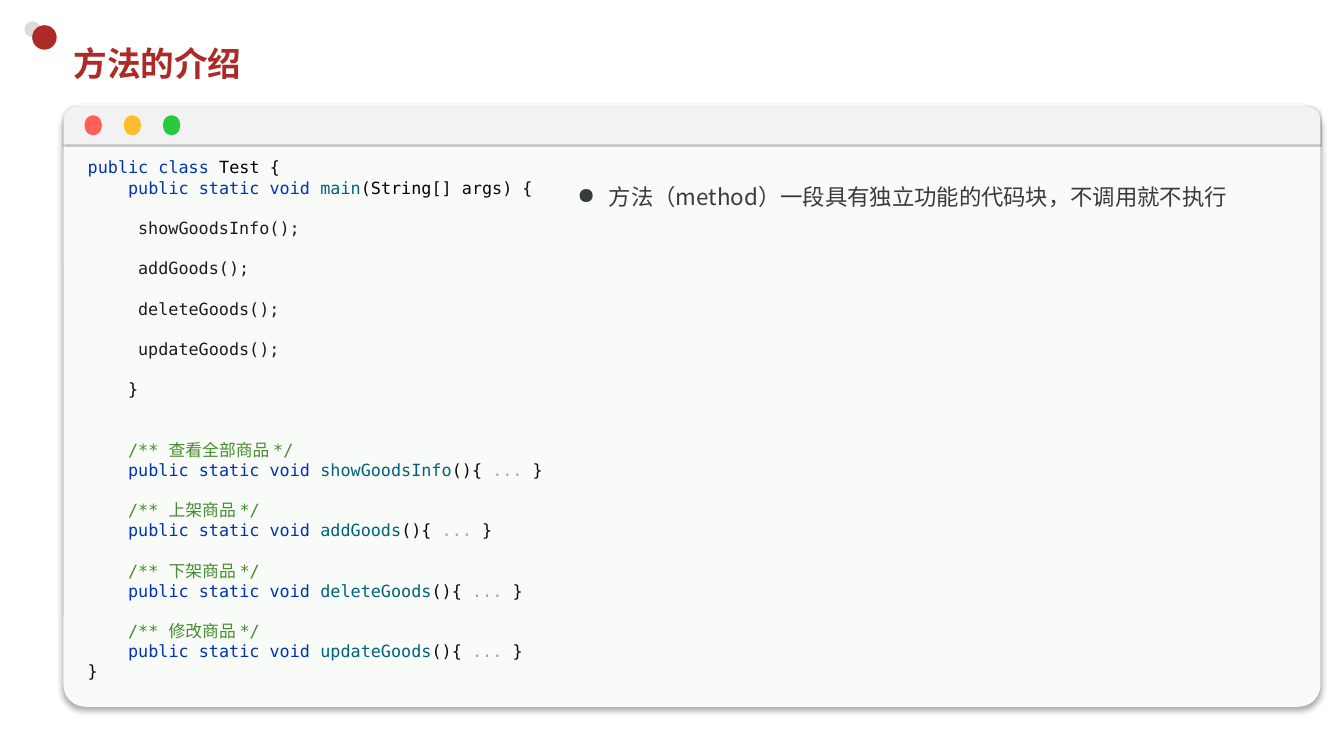
"""Build the slide that introduces methods with a code window."""
from lxml import etree
from pptx import Presentation
from pptx.dml.color import RGBColor
from pptx.enum.shapes import MSO_SHAPE
from pptx.enum.text import MSO_ANCHOR
from pptx.oxml.ns import qn
from pptx.util import Pt

OVAL = MSO_SHAPE.OVAL
CARD = MSO_SHAPE.ROUNDED_RECTANGLE
BAR = MSO_SHAPE.ROUND_2_SAME_RECTANGLE
MIDDLE, TOP = MSO_ANCHOR.MIDDLE, MSO_ANCHOR.TOP

RED = RGBColor(0xAD, 0x2B, 0x26)
SILVER = RGBColor(0xDA, 0xDD, 0xDC)
PAPER = RGBColor(0xF9, 0xFB, 0xF9)
PALE = RGBColor(0xF2, 0xF2, 0xF2)
CORAL = RGBColor(0xFF, 0x5F, 0x56)
AMBER = RGBColor(0xFF, 0xBD, 0x2E)
GREEN = RGBColor(0x27, 0xC9, 0x3F)
BLUE = RGBColor(0x00, 0x33, 0xB3)
TEAL = RGBColor(0x00, 0x62, 0x7A)
BLACK = RGBColor(0x00, 0x00, 0x00)
INK = RGBColor(0x08, 0x08, 0x08)
DARK = RGBColor(0x1B, 0x1E, 0x1D)
MOSS = RGBColor(0x45, 0x8C, 0x2F)
GRAY = RGBColor(0xA6, 0xA6, 0xA6)
SLATE = RGBColor(0x36, 0x3C, 0x3B)

MONO, HAN, BODY = "DejaVu Sans Mono", "Noto Sans CJK SC", "Noto Sans CJK JP"

TITLE = "方法的介绍"
NOTE = "方法（method）一段具有独立功能的代码块，不调用就不执行"
METHODS = [
    ("showGoodsInfo", "查看全部商品 "),
    ("addGoods", "上架商品 "),
    ("deleteGoods", "下架商品 "),
    ("updateGoods", "修改商品 "),
]
HEAD = [
    (0, [("public class ", BLUE), ("Test ", BLACK), ("{", INK)]),
    (0, [("    public static void ", BLUE), ("main", TEAL), ("(", INK),
         ("String", BLACK), ("[] args) {", INK)]),
]
DOTS = [(17.5, 15.2, 11.5, SILVER), (23, 18, 17.5, RED)]
LIGHTS = [CORAL, AMBER, GREEN]
LEFT, WIDE, LINE = 45.4, 897.8, 14.4


def code_lines():
    """Return (blank lines before, coloured parts) for each line of code."""
    lines = list(HEAD)
    for name, _ in METHODS:
        lines.append((1, [("\t" + name + "();", DARK)]))
    lines.append((1, [("    }", INK)]))
    for row, (name, note) in enumerate(METHODS):
        lines.append((1 if row else 2, [
            ("    /** ", MOSS), (note, MOSS, HAN), ("*/", MOSS)]))
        lines.append((0, [
            ("    public static void ", BLUE), (name, TEAL), ("(){ ", INK),
            ("... ", GRAY), ("}", INK)]))
    return lines + [(0, [("}", INK)])]


def draw(slide, kind, box, fill, adjust=(), shade=None):
    """Add a filled shape with an optional soft shadow."""
    shape = slide.shapes.add_shape(kind, *map(Pt, box))
    shape.fill.solid()
    shape.fill.fore_color.rgb = fill
    shape.line.fill.background()
    shape.shadow.inherit = False
    for spot, value in enumerate(adjust):
        shape.adjustments[spot] = value
    if shade:
        alpha, blur, dist = shade
        glow = etree.SubElement(
            shape._element.spPr.find(qn("a:effectLst")), qn("a:outerShdw"),
            blurRad=str(Pt(blur)), dist=str(Pt(dist)), dir="5400000",
            algn="t", rotWithShape="0")
        tint = etree.SubElement(glow, qn("a:srgbClr"), val="000000")
        etree.SubElement(tint, qn("a:alpha"), val=str(alpha * 1000))


def text_frame(slide, box, anchor=TOP, side=7.2):
    """Add a wrapping text box and return its frame."""
    frame = slide.shapes.add_textbox(*map(Pt, box)).text_frame
    form = {"word_wrap": True, "vertical_anchor": anchor,
            "margin_left": Pt(side), "margin_right": Pt(side)}
    for key, value in form.items():
        setattr(frame, key, value)
    return frame


def write(para, text, size, color, face, east=HAN, bold=False):
    """Add one run with Latin and East Asian fonts."""
    run = para.add_run()
    run.text = text
    for key, value in {"size": Pt(size), "name": face, "bold": bold}.items():
        setattr(run.font, key, value)
    run.font.color.rgb = color
    etree.SubElement(run.font._element, qn("a:ea"), typeface=east)


def main():
    """Compose and save the slide."""
    deck = Presentation()
    deck.slide_width, deck.slide_height = Pt(960), Pt(540)
    slide = deck.slides.add_slide(deck.slide_layouts[6])

    for left, top, size, color in DOTS:
        draw(slide, OVAL, (left, top, size, size), color)
    frame = text_frame(slide, (LEFT, 26.6, 845, 37.4), MIDDLE)
    write(frame.paragraphs[0], TITLE, 24, RED, MONO, bold=True)

    draw(slide, CARD, (LEFT, 74.2, WIDE, 430.6), PAPER, [0.036], (34, 4, 3))
    frame = text_frame(slide, (LEFT, 108.7, 740, 399.6), side=17.3)
    for row, (gap, parts) in enumerate(code_lines()):
        para = frame.add_paragraph() if row else frame.paragraphs[0]
        if gap:
            para.space_before = Pt(gap * LINE)
        for text, color, *face in parts:
            write(para, text, 12, color, face[0] if face else MONO)

    draw(slide, BAR, (LEFT, 76.3, WIDE, 26.6), PALE, [0.35, 0], (20, 1, 1))
    for spot, color in enumerate(LIGHTS):
        draw(slide, OVAL, (60.3 + 28 * spot, 82.3, 12.5, 14.4), color)

    para = text_frame(slide, (405.4, 118, 549.4, 34)).paragraphs[0]
    para.line_spacing = 1.5
    form = para._p.get_or_add_pPr()
    form.set("marL", str(Pt(22.5)))
    form.set("indent", str(Pt(-22.5)))
    etree.SubElement(form, qn("a:buChar"), char="●")
    write(para, NOTE, 16, SLATE, BODY, BODY)

    deck.save("out.pptx")


if __name__ == "__main__":
    main()
